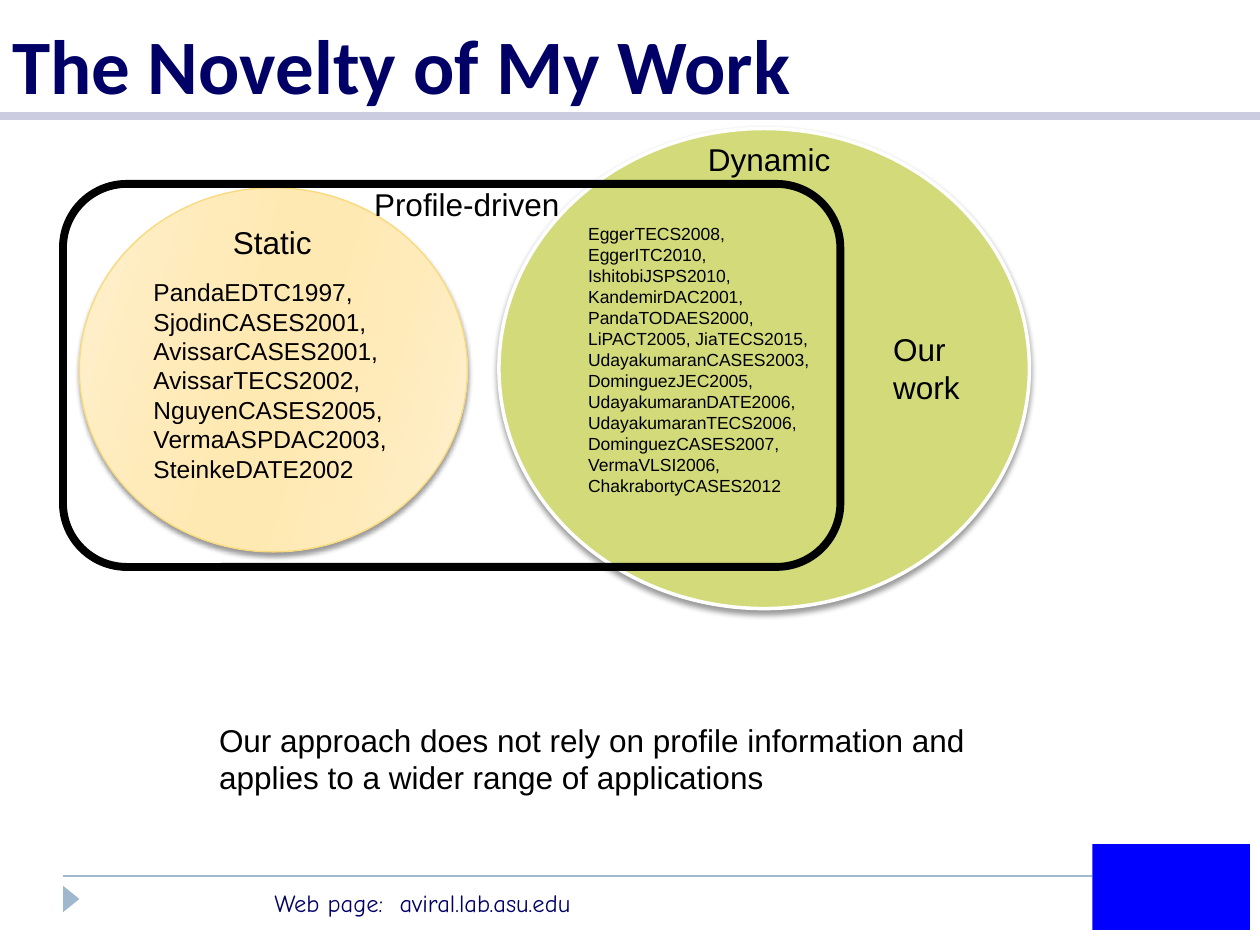
from dataclasses import dataclass

from lxml import etree
from pptx import Presentation
from pptx.dml.color import RGBColor
from pptx.enum.shapes import MSO_CONNECTOR as Connector, MSO_SHAPE as Shape
from pptx.enum.text import MSO_ANCHOR as Anchor
from pptx.oxml import parse_xml
from pptx.oxml.ns import nsdecls, qn
from pptx.util import Inches, Pt


@dataclass(frozen=True)
class Theme:
    navy: str = "000066"
    black: str = "000000"
    blue: str = "0000FF"
    rule: str = "CCCCE0"
    footer: str = "9FB8CD"
    green: str = "D2DA7A"
    white: str = "FFFFFF"
    amber: str = "FADA7A"
    body_font: str = "Arial"
    title_font: str = "Calibri"
    footer_font: str = "Comic Neue"
    title_size: int = 44
    body_size: int = 18
    list_size: int = 14
    small_size: int = 10


THEME = Theme()

TITLE = "The Novelty of My Work"
WEB_PAGE = "Web page:  aviral.lab.asu.edu"
STATIC_PAPERS = [
    "PandaEDTC1997", "SjodinCASES2001", "AvissarCASES2001", "AvissarTECS2002",
    "NguyenCASES2005", "VermaASPDAC2003", "SteinkeDATE2002",
]
DYNAMIC_PAPERS = [
    "EggerTECS2008", "EggerITC2010", "IshitobiJSPS2010", "KandemirDAC2001",
    "PandaTODAES2000", "LiPACT2005", "JiaTECS2015", "UdayakumaranCASES2003",
    "DominguezJEC2005", "UdayakumaranDATE2006", "UdayakumaranTECS2006",
    "DominguezCASES2007", "VermaVLSI2006", "ChakrabortyCASES2012",
]
CONCLUSION = ("Our approach does not rely on profile information and "
              "applies to a wider range of applications")

# Text, (left, top, width, height) in inches, type size
STATIC_TEXTS = [
    ("Static", (1.75, 1.72, 0.92, 0.42), THEME.body_size),
    (", ".join(STATIC_PAPERS), (1.12, 2.15, 2.17, 1.75), THEME.list_size),
]
DYNAMIC_TEXTS = [
    ("Dynamic", (5.52, 1.06, 1.38, 0.4), THEME.body_size),
    (", ".join(DYNAMIC_PAPERS), (4.57, 1.72, 2.06, 2.46), THEME.small_size),
    ("Our\nwork", (6.99, 2.57, 0.81, 0.71), THEME.body_size),
]
PROFILE_TEXTS = [
    ("Profile-driven", (2.87, 1.42, 2.02, 0.4), THEME.body_size),
    (CONCLUSION, (1.64, 5.67, 6.17, 0.71), THEME.body_size),
]
# Position in percent, colour
STATIC_GRADIENT = [(0, "FFF0CF"), (30, "FFEBBA"), (45, "FFE9B3"),
                   (55, "FFE9B3"), (73, "FFEBBA"), (100, "FFF0CF")]
GRADIENT_ANGLE = 16


def rgb(code):
    return RGBColor.from_string(code)


def add_text(slide, text, place, size, font=THEME.body_font,
             color=THEME.black, bold=False, anchor=Anchor.TOP):
    box = slide.shapes.add_textbox(*map(Inches, place))
    frame = box.text_frame
    frame.word_wrap = True
    frame.vertical_anchor = anchor
    frame.text = text
    for para in frame.paragraphs:
        for span in para.runs:
            span.font.name = font
            span.font.size = Pt(size)
            span.font.bold = bold
            span.font.color.rgb = rgb(color)


def add_texts(slide, texts):
    for text, place, size in texts:
        add_text(slide, text, place, size)


def add_figure(slide, kind, place, fill=None, line=None, width=1):
    figure = slide.shapes.add_shape(kind, *map(Inches, place))
    figure.shadow.inherit = False
    if fill:
        figure.fill.solid()
        figure.fill.fore_color.rgb = rgb(fill)
    else:
        figure.fill.background()
    if line:
        figure.line.color.rgb = rgb(line)
        figure.line.width = Pt(width)
    else:
        figure.line.fill.background()
    return figure


def add_rule(slide, left, right, top, color, width):
    rule = slide.shapes.add_connector(
        Connector.STRAIGHT, Inches(left), Inches(top), Inches(right), Inches(top))
    rule.line.color.rgb = rgb(color)
    rule.line.width = Pt(width)
    etree.SubElement(rule._element.spPr, qn("a:effectLst"))


def drop_shadow(figure):
    effects = figure._element.spPr.find(qn("a:effectLst"))
    effects.append(parse_xml(
        f'<a:outerShdw {nsdecls("a")} blurRad="{Pt(3)}" dist="{Pt(2)}" '
        'dir="5400000" rotWithShape="0">'
        f'<a:srgbClr val="{THEME.black}"><a:alpha val="40000"/></a:srgbClr>'
        '</a:outerShdw>'))


def shade(figure, stops, angle):
    """Swap the empty fill of a figure for a linear gradient."""
    marks = "".join(
        f'<a:gs pos="{position * 1000}"><a:srgbClr val="{color}"/></a:gs>'
        for position, color in stops)
    gradient = parse_xml(
        f'<a:gradFill {nsdecls("a")} rotWithShape="1"><a:gsLst>{marks}</a:gsLst>'
        f'<a:lin ang="{angle * 60000}" scaled="0"/></a:gradFill>')
    properties = figure._element.spPr
    properties.replace(properties.find(qn("a:noFill")), gradient)


def add_frame(slide):
    """Draw the rules, the footer and a plain block in the corner."""
    add_rule(slide, 0.5, 8.67, 6.95, THEME.footer, 1)
    add_rule(slide, 0, 10, 0.92, THEME.rule, 5)
    marker = add_figure(slide, Shape.ISOSCELES_TRIANGLE,
                        (0.46, 7.07, 0.21, 0.13), THEME.footer)
    marker.rotation = 90
    add_text(slide, WEB_PAGE, (2.08, 7, 3.75, 0.34), THEME.list_size,
             THEME.footer_font, THEME.navy)
    add_figure(slide, Shape.RECTANGLE, (8.67, 6.7, 1.25, 0.68), THEME.blue)


def add_diagram(slide):
    static = add_figure(slide, Shape.OVAL, (0.63, 1.49, 3.08, 2.89),
                        line=THEME.amber, width=0.75)
    shade(static, STATIC_GRADIENT, GRADIENT_ANGLE)
    drop_shadow(static)
    add_texts(slide, STATIC_TEXTS)

    dynamic = add_figure(slide, Shape.OVAL, (3.96, 1.02, 4.21, 3.81),
                         THEME.green, THEME.white, 2)
    drop_shadow(dynamic)
    add_texts(slide, DYNAMIC_TEXTS)

    add_figure(slide, Shape.ROUNDED_RECTANGLE, (0.5, 1.46, 6.17, 3.04),
               line=THEME.black, width=4.5)
    add_texts(slide, PROFILE_TEXTS)


def main():
    deck = Presentation()
    deck.slide_width, deck.slide_height = Inches(10), Inches(7.5)
    page = deck.slides.add_slide(deck.slide_layouts[6])
    add_frame(page)
    add_text(page, TITLE, (0, 0, 10, 0.92), THEME.title_size, THEME.title_font,
             THEME.navy, bold=True, anchor=Anchor.BOTTOM)
    add_diagram(page)
    deck.save("out.pptx")


if __name__ == "__main__":
    main()
